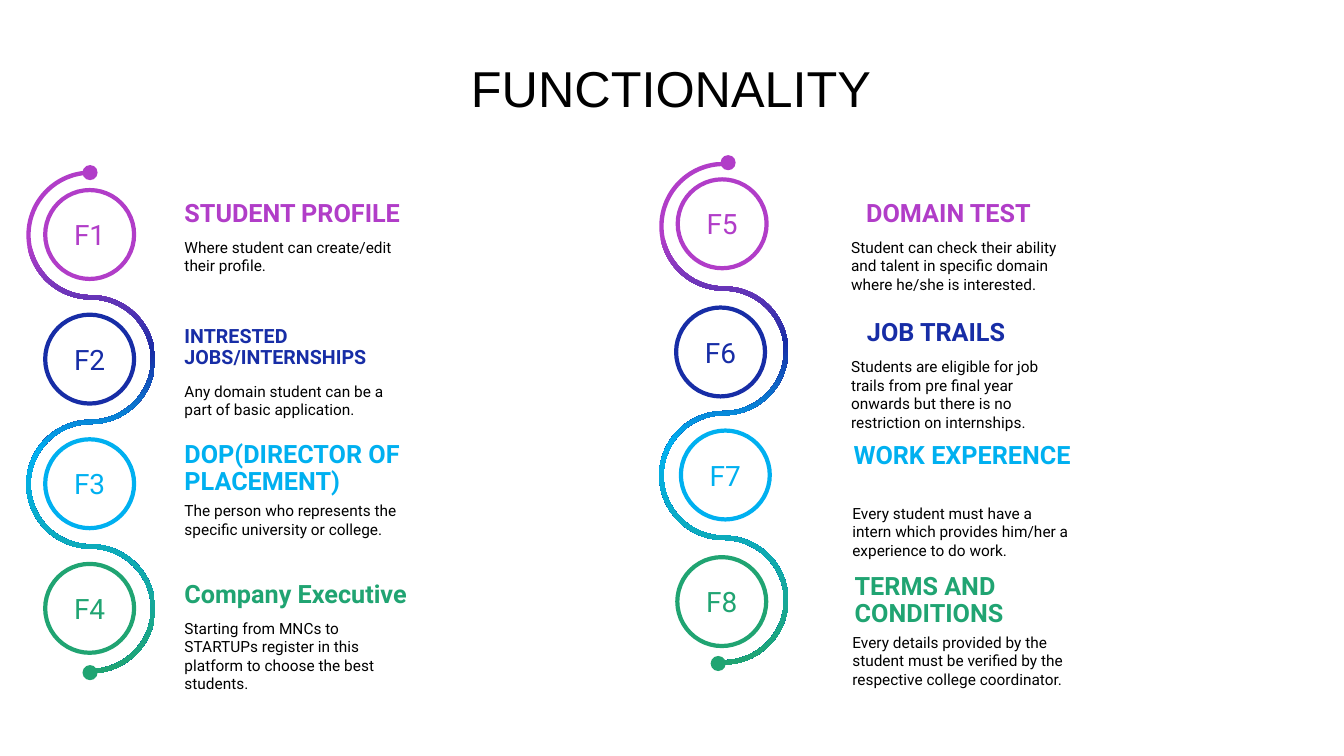
import math
from dataclasses import dataclass

import lxml.etree
import pptx
import pptx.dml.color
import pptx.enum.shapes
import pptx.enum.text
import pptx.oxml.ns
import pptx.shapes.autoshape
import pptx.slide
import pptx.util
from pptx.util import Cm


@dataclass(frozen=True)
class Theme:
    purple: str = "B13DC8"
    navy: str = "172DA6"
    sky: str = "00B0F0"
    green: str = "20A472"
    black: str = "000000"
    white: str = "FFFFFF"
    title_font: str = "Arial"
    font: str = "Roboto"
    title_size: float = 36
    badge_size: float = 20
    heading_size: float = 18
    small_heading_size: float = 14
    detail_size: float = 11
    ring_width: float = 3


THEME = Theme()
STEP_COLORS = (THEME.purple, THEME.navy, THEME.sky, THEME.green)
RIBBON_STOPS = tuple(zip((15, 36, 56, 100), STEP_COLORS))
BADGE_SIZE = 2.24
DOT_SIZE = 0.38
PITCH = 3.14
RIBBON_WIDTH = 0.11
QUARTER = math.pi / 2
QUARTER_HANDLE = 4 / 3 * math.tan(math.pi / 8)
Point = tuple[float, float]


@dataclass(frozen=True)
class Box:
    left: float
    top: float
    width: float
    height: float


@dataclass(frozen=True)
class Feature:
    label: str
    badge: Point
    heading: str
    heading_box: Box
    detail: str
    detail_box: Box
    heading_size: float = THEME.heading_size


@dataclass(frozen=True)
class Track:
    center: Point
    start_dot: Point
    end_dot: Point
    features: tuple[Feature, ...]


def left_badge(index: int) -> Point:
    return 1.14, 4.79 + PITCH * index


def detail_box(left: float, top: float, height: float = 1.96) -> Box:
    return Box(left, top, 6.05, height)


TRACKS = (
    Track((2.29, 5.92), (2.08, 4.16), (2.08, 16.76), (
        Feature("F1", left_badge(0), "STUDENT PROFILE", Box(4.4, 4.93, 6.65, 0.94),
                "Where student can create/edit their profile.", detail_box(4.4, 5.87)),
        Feature("F2", left_badge(1), "INTRESTED JOBS/INTERNSHIPS", Box(4.4, 8.1, 7.19, 0.84),
                "Any domain student can be a part of basic application.",
                detail_box(4.4, 9.5, 1.5), THEME.small_heading_size),
        Feature("F3", left_badge(2), "DOP(DIRECTOR OF PLACEMENT)", Box(4.4, 11, 7.19, 1.12),
                "The person who represents the specific university or college.",
                detail_box(4.4, 12.51, 1.65)),
        Feature("F4", left_badge(3), "Company Executive", Box(4.4, 14.53, 6.65, 0.84),
                "Starting from MNCs to STARTUPs register in this platform to choose the best students.",
                detail_box(4.4, 15.47)),
    )),
    Track((18.24, 5.7), (18.16, 3.91), (17.91, 16.53), (
        Feature("F5", (17.08, 4.52), "DOMAIN TEST", Box(21.58, 4.93, 8.71, 0.84),
                "Student can check their ability and talent in specific domain where he/she is interested.",
                detail_box(21.2, 5.87)),
        Feature("F6", (17.04, 7.75), "JOB TRAILS", Box(21.6, 7.92, 5.99, 0.84),
                "Students are eligible for job trails from pre final year onwards but there is no "
                "restriction on internships.", detail_box(21.2, 8.88)),
        Feature("F7", (17.16, 10.85), "WORK EXPERENCE", Box(21.26, 11.04, 5.99, 0.84),
                "Every student must have a intern which provides him/her a experience to do work.",
                detail_box(21.23, 12.57, 1.75)),
        Feature("F8", (17.07, 14.04), "TERMS AND CONDITIONS", Box(21.29, 14.33, 6.58, 0.84),
                "Every details provided by the student must be verified by the respective college "
                "coordinator.", detail_box(21.23, 15.82, 1.57)),
    )),
)


def rgb(color: str) -> pptx.dml.color.RGBColor:
    return pptx.dml.color.RGBColor.from_string(color)


def add_text(slide: pptx.slide.Slide, text: str, box: Box, size: float, color: str,
             font: str = THEME.font, bold: bool = False, line_spacing: float = 1.0,
             centered: bool = False) -> None:
    frame = slide.shapes.add_textbox(
        Cm(box.left), Cm(box.top), Cm(box.width), Cm(box.height)).text_frame
    frame.word_wrap = True
    paragraph = frame.paragraphs[0]
    paragraph.text = text
    paragraph.space_before = pptx.util.Pt(10)
    paragraph.line_spacing = line_spacing
    if centered:
        paragraph.alignment = pptx.enum.text.PP_ALIGN.CENTER
    paragraph.font.name = font
    paragraph.font.size = pptx.util.Pt(size)
    paragraph.font.bold = bold
    paragraph.font.color.rgb = rgb(color)


def add_circle(slide: pptx.slide.Slide, at: Point, diameter: float,
               color: str) -> pptx.shapes.autoshape.Shape:
    circle = slide.shapes.add_shape(
        pptx.enum.shapes.MSO_SHAPE.OVAL, Cm(at[0]), Cm(at[1]), Cm(diameter), Cm(diameter))
    circle.shadow.inherit = False
    circle.fill.solid()
    circle.fill.fore_color.rgb = rgb(color)
    circle.line.fill.background()
    return circle


def add_badge(slide: pptx.slide.Slide, feature: Feature, color: str) -> None:
    badge = add_circle(slide, feature.badge, BADGE_SIZE, THEME.white)
    badge.line.color.rgb = rgb(color)
    badge.line.width = pptx.util.Pt(THEME.ring_width)
    badge.text_frame.vertical_anchor = pptx.enum.text.MSO_ANCHOR.MIDDLE
    label = badge.text_frame.paragraphs[0]
    label.text = feature.label
    label.alignment = pptx.enum.text.PP_ALIGN.CENTER
    label.font.name = THEME.font
    label.font.size = pptx.util.Pt(THEME.badge_size)
    label.font.color.rgb = rgb(color)


def ribbon_edge(center: Point, offset: float) -> list[tuple[int, int]]:
    middle = center[1] + 1.5 * PITCH
    points = []
    for index in range(len(STEP_COLORS)):
        side = -1 if index % 2 == 0 else 1
        radius = PITCH / 2 - side * offset
        for start in (0, QUARTER):
            for angle, handle in ((start, 0), (start, QUARTER_HANDLE),
                                  (start + QUARTER, -QUARTER_HANDLE), (start + QUARTER, 0)):
                across = side * radius * (math.sin(angle) + handle * math.cos(angle))
                along = PITCH * (index - 1.5) - radius * (math.cos(angle) - handle * math.sin(angle))
                if handle or angle > start or not points:
                    points.append((Cm(center[0] - along), Cm(middle + across)))
    return points


def add_ribbon(slide: pptx.slide.Slide, center: Point) -> None:
    qn = pptx.oxml.ns.qn
    edges = (ribbon_edge(center, RIBBON_WIDTH / 2), ribbon_edge(center, -RIBBON_WIDTH / 2)[::-1])
    nodes = edges[0][::3] + edges[1][::3]
    builder = slide.shapes.build_freeform(*nodes[0])
    builder.add_line_segments(nodes[1:], close=True)
    ribbon = builder.convert_to_shape()
    lines = list(ribbon.element.spPr.iter(qn("a:lnTo")))
    half = len(lines) // 2
    for edge, segments in zip(edges, (lines[:half], lines[half + 1:])):
        for number, segment in enumerate(segments):
            curve = lxml.etree.Element(qn("a:cubicBezTo"))
            for x, y in edge[3 * number + 1:3 * number + 4]:
                lxml.etree.SubElement(curve, qn("a:pt"), x=str(x - ribbon.left), y=str(y - ribbon.top))
            segment.getparent().replace(segment, curve)
    ribbon.rotation = 270
    ribbon.shadow.inherit = False
    ribbon.line.fill.background()
    ribbon.fill.gradient()
    ribbon.fill.gradient_angle = 180
    stops = ribbon.element.spPr.find(qn("a:gradFill")).find(qn("a:gsLst"))
    for stop in list(stops):
        stops.remove(stop)
    for percent, color in RIBBON_STOPS:
        stop = lxml.etree.SubElement(stops, qn("a:gs"), pos=str(percent * 1000))
        lxml.etree.SubElement(stop, qn("a:srgbClr"), val=color)


def main() -> None:
    deck = pptx.Presentation()
    deck.slide_width, deck.slide_height = Cm(33.87), Cm(19.05)
    slide = deck.slides.add_slide(deck.slide_layouts[6])
    for track in TRACKS:
        for feature, color in zip(track.features, STEP_COLORS):
            add_badge(slide, feature, color)
            add_text(slide, feature.heading, feature.heading_box, feature.heading_size, color,
                     bold=True, line_spacing=0.9)
            add_text(slide, feature.detail, feature.detail_box, THEME.detail_size, THEME.black)
        add_ribbon(slide, track.center)
        add_circle(slide, track.start_dot, DOT_SIZE, STEP_COLORS[0])
        add_circle(slide, track.end_dot, DOT_SIZE, STEP_COLORS[-1])
    add_text(slide, "FUNCTIONALITY", Box(0.62, 1.5, 32.59, 1.75), THEME.title_size,
             THEME.black, font=THEME.title_font, line_spacing=0.9, centered=True)
    deck.save("out.pptx")


if __name__ == "__main__":
    main()
